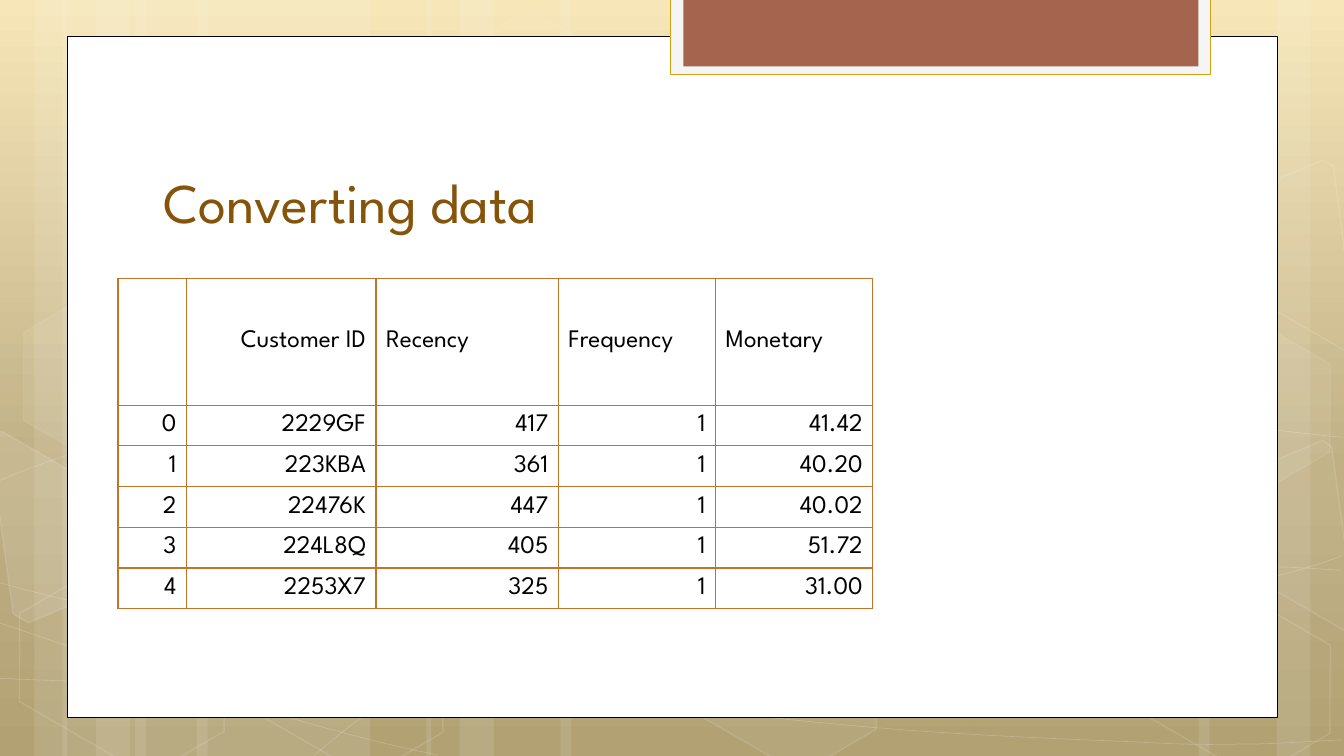
"""Build the "Converting data" slide: a framed panel with a customer table."""
from copy import deepcopy
from dataclasses import dataclass

from lxml import etree
from pptx import Presentation
from pptx import util as u
from pptx.dml.color import RGBColor
from pptx.enum import shapes, text
from pptx.oxml.ns import qn

TITLE = "Converting data "
HEADER = ["", "Customer ID", "Recency", "Frequency", "Monetary"]
CUSTOMERS = [
    ("2229GF", "417", "1", "41.42"),
    ("223KBA", "361", "1", "40.20"),
    ("22476K", "447", "1", "40.02"),
    ("224L8Q", "405", "1", "51.72"),
    ("2253X7", "325", "1", "31.00"),
]
COLUMN_WIDTHS = [0.68, 1.88, 1.81, 1.56, 1.56]
HEADER_HEIGHT, BODY_HEIGHT = 1.26, 2.02

STRIPES = [
    (1.34, 2.33), (0, 0.67), (0.34, 1.11), (1.95, 2.33), (0.62, 0.67), (0.95, 1.11),
    (9.67, 2.33), (12.67, 0.67), (11.89, 1.11), (5.56, 4.11), (4.23, 0.67), (4.56, 1.11),
]
CURVES = [
    [(-0.01, 6.73), (0.71, 6.76), (1.43, 6.79), (2.43, 6.78), (3.43, 6.77), (4.66, 6.75),
     (5.99, 6.65), (7.33, 6.55), (9.22, 6.36), (10.45, 6.17), (11.67, 5.98), (12.92, 5.68),
     (13.32, 5.51)],
    [(-0.01, 4.77), (0.37, 4.61), (0.75, 4.46), (1.51, 4.31), (2.27, 4.16), (3.34, 3.94),
     (4.52, 3.87), (5.71, 3.8), (7.14, 3.79), (8.61, 3.87), (10.08, 3.95), (12.52, 4.26),
     (13.32, 4.34)],
    [(-0.03, 6.17), (1.58, 6.72), (3.19, 7.27), (4.35, 7.49)],
    [(-0.01, 5.78), (0.4, 5.89), (0.82, 6), (1.6, 6.16), (2.37, 6.31), (3.53, 6.56),
     (4.64, 6.73), (5.76, 6.9), (7.16, 7.08), (8.26, 7.18), (9.37, 7.29), (10.55, 7.33),
     (11.26, 7.36), (11.96, 7.4), (12.14, 7.38), (12.49, 7.38), (12.83, 7.37),
     (13.08, 7.35), (13.32, 7.34)],
    [(3.12, 7.49), (3.36, 7.29), (3.59, 7.09), (3.92, 6.91), (4.24, 6.73), (4.69, 6.53),
     (5.06, 6.39), (5.43, 6.25), (5.66, 6.19), (6.15, 6.09), (6.64, 5.99), (7.54, 5.85),
     (8, 5.78), (8.47, 5.71), (8.54, 5.71), (8.96, 5.69), (9.37, 5.66), (10.02, 5.63),
     (10.48, 5.62), (10.94, 5.61), (11.71, 5.62), (11.71, 5.62), (11.71, 5.62),
     (12.59, 5.62), (12.59, 5.62), (12.84, 5.63), (13.06, 5.64), (13.18, 5.65),
     (13.3, 5.66), (13.26, 5.65), (13.3, 5.66)],
]
HEXAGONS = [
    (4.34, 0.36, 4, 8), (6.51, 5.89, 6, 12), (0.04, 5.91, 0, 12), (0.08, 3.12, 7, 8),
    (2.21, 5.92, 0, 12), (11.01, 5.93, 0, 12), (11.01, 3.14, 7, 8),
]
CUT_HEXAGONS = [
    (10, [(-0.11, 4.34), (0.02, 4.28), (1.04, 4.87), (1.16, 5.81), (0.28, 6.18), (0.13, 6.09)]),
    (4, [(12.24, 4.74), (13.12, 4.37), (13.21, 4.43), (13.46, 6.25), (13.38, 6.28),
         (12.36, 5.69)]),
    (0, [(12.24, 1.96), (13.12, 1.59), (13.23, 1.65), (13.46, 3.46), (13.38, 3.5),
         (12.36, 2.91)]),
]


@dataclass(frozen=True)
class Theme:
    font: str = "League Spartan"
    title_size: int = 40
    table_size: int = 18
    white: str = "FFFFFF"
    black: str = "000000"
    title: str = "85540A"
    border: str = "C17529"
    tab: str = "F5F5F5"
    tab_line: str = "D2A010"
    accent: str = "A5644E"
    background: tuple = ((0, "F6E4B0"), (0.62, "BAA878"), (1, "A99764"))


theme = Theme()
rgb = RGBColor.from_string


def set_alpha(shape, query, percent):
    for color in shape.element.spPr.xpath(query):
        etree.SubElement(color, qn("a:alpha")).set("val", str(percent * 1000))


def paint(shape, fill=None, alpha=100, line=None, width=1, line_alpha=100):
    shape.shadow.inherit = False
    if fill and alpha:
        shape.fill.solid()
        shape.fill.fore_color.rgb = rgb(fill)
    else:
        shape.fill.background()
    if line:
        shape.line.color.rgb = rgb(line)
        shape.line.width = u.Pt(width)
    else:
        shape.line.fill.background()
    if alpha < 100:
        set_alpha(shape, "./a:solidFill/a:srgbClr", alpha)
    if line_alpha < 100:
        set_alpha(shape, "./a:ln/a:solidFill/a:srgbClr", line_alpha)


def add_preset(slide, kind, box, **style):
    shape = slide.shapes.add_shape(kind, *map(u.Inches, box))
    paint(shape, **style)
    return shape


def add_outline(slide, points, close, **style):
    points = [(u.Inches(x), u.Inches(y)) for x, y in points]
    builder = slide.shapes.build_freeform(*points[0], scale=1.0)
    builder.add_line_segments(points[1:], close=close)
    shape = builder.convert_to_shape()
    paint(shape, **style)
    return shape


def add_curve(slide, points, **style):
    shape = add_outline(slide, points, False, **style)
    segments = shape.element.spPr.xpath(".//a:lnTo")
    for start in range(0, len(segments), 3):
        first, second, last = segments[start:start + 3]
        before, control, other, end = points[start:start + 4]
        if before == control and other == end:
            for extra in (first, second):
                extra.getparent().remove(extra)
            continue
        curve = etree.Element(qn("a:cubicBezTo"))
        first.addprevious(curve)
        for segment in (first, second, last):
            curve.append(segment[0])
            segment.getparent().remove(segment)


def add_run(paragraph, words, size, color):
    run = paragraph.add_run()
    run.text = words
    run.font.name = theme.font
    run.font.size = u.Pt(size)
    run.font.color.rgb = rgb(color)


def set_background(slide):
    fill = slide.background.fill
    fill.gradient()
    fill.gradient_angle = 270
    stops = slide.element.find(".//" + qn("a:gsLst"))
    stops.append(deepcopy(stops[-1]))
    for stop, (position, color) in zip(fill.gradient_stops, theme.background):
        stop.position = position
        stop.color.rgb = rgb(color)


def set_borders(cell):
    properties = cell._tc.get_or_add_tcPr()
    for index, side in enumerate(("a:lnL", "a:lnR", "a:lnT", "a:lnB")):
        line = etree.Element(qn(side), w=str(u.Pt(1)))
        solid = etree.SubElement(line, qn("a:solidFill"))
        etree.SubElement(solid, qn("a:srgbClr"), val=theme.border)
        properties.insert(index, line)


def add_customer_table(slide):
    rows = [HEADER] + [(str(index), *customer) for index, customer in enumerate(CUSTOMERS)]
    heights = [HEADER_HEIGHT] + [BODY_HEIGHT / len(CUSTOMERS)] * len(CUSTOMERS)
    box = (1.17, 2.76, sum(COLUMN_WIDTHS), sum(heights))
    table = slide.shapes.add_table(len(rows), len(HEADER), *map(u.Inches, box)).table
    table.first_row = table.horz_banding = False
    for column, width in zip(table.columns, COLUMN_WIDTHS):
        column.width = u.Inches(width)
    for row_index, (row, height) in enumerate(zip(rows, heights)):
        table.rows[row_index].height = u.Inches(height)
        for column_index, words in enumerate(row):
            cell = table.cell(row_index, column_index)
            cell.fill.background()
            set_borders(cell)
            cell.vertical_anchor = text.MSO_ANCHOR.MIDDLE
            if words:
                paragraph = cell.text_frame.paragraphs[0]
                right = row_index > 0 or column_index == 1
                paragraph.alignment = text.PP_ALIGN.RIGHT if right else text.PP_ALIGN.LEFT
                add_run(paragraph, words, theme.table_size, theme.black)


presentation = Presentation()
presentation.slide_width, presentation.slide_height = u.Inches(40 / 3), u.Inches(7.5)
slide = presentation.slides.add_slide(presentation.slide_layouts[6])
set_background(slide)

RECTANGLE, HEXAGON = shapes.MSO_SHAPE.RECTANGLE, shapes.MSO_SHAPE.HEXAGON
for left, width in STRIPES:
    add_preset(slide, RECTANGLE, (left, 0, width, 7.5), fill=theme.white, alpha=10)
for curve in CURVES:
    add_curve(slide, curve, line=theme.white, width=0.5, line_alpha=20)
for left, top, alpha, line_alpha in HEXAGONS:
    hexagon = add_preset(slide, HEXAGON, (left, top, 2.34, 1.52), fill=theme.white,
                         alpha=alpha, line=theme.white, line_alpha=line_alpha)
    hexagon.adjustments[0] = 0.285
    hexagon.rotation = 30
for alpha, corners in CUT_HEXAGONS:
    add_outline(slide, corners, True, fill=theme.white, alpha=alpha,
                line=theme.white, line_alpha=12)

add_preset(slide, RECTANGLE, (0.67, 0.36, 12, 6.76), fill=theme.white, line=theme.black, width=0.5)
add_preset(slide, RECTANGLE, (6.65, -0.02, 5.36, 0.76), fill=theme.tab, line=theme.tab_line)
add_preset(slide, RECTANGLE, (6.78, -0.02, 5.11, 0.68), fill=theme.accent)

title_frame = slide.shapes.add_textbox(*map(u.Inches, (1.52, 1.13, 10.24, 1.25))).text_frame
title_frame.word_wrap = True
title_frame.vertical_anchor = text.MSO_ANCHOR.BOTTOM
add_run(title_frame.paragraphs[0], TITLE, theme.title_size, theme.title)
add_customer_table(slide)

presentation.save("out.pptx")
